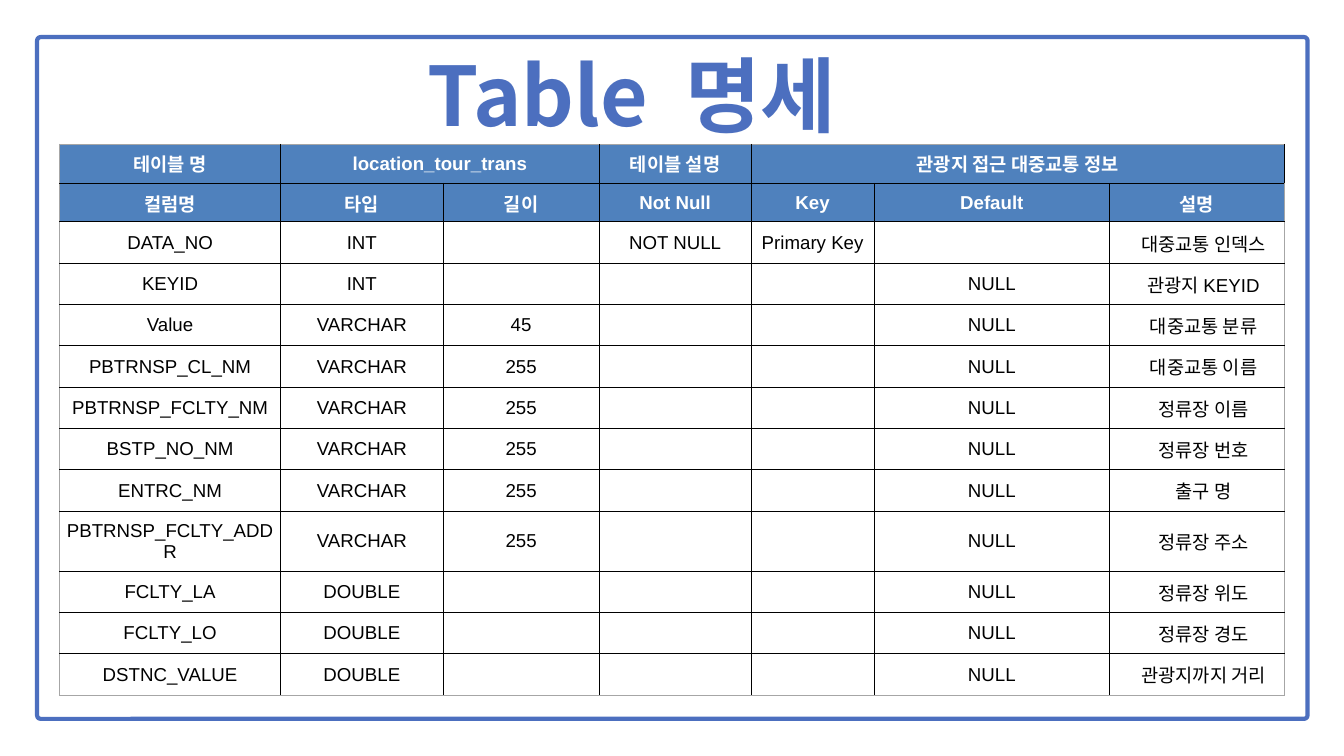
from dataclasses import astuple, dataclass

from lxml import etree
from pptx import Presentation
from pptx import util as u
from pptx.dml.color import RGBColor
from pptx.enum import shapes, text
from pptx.oxml.ns import qn

PX = 9525  # EMU, at 96 px to the inch

WHITE = RGBColor(0xFF, 0xFF, 0xFF)
BLACK = RGBColor(0x00, 0x00, 0x00)
ROYAL = RGBColor(0x4C, 0x6F, 0xBF)
HEADER = RGBColor(0x4F, 0x81, 0xBD)
EDGE = RGBColor(0xA6, 0xA6, 0xA6)

LATIN = "Arial"
KOREAN = "Noto Sans CJK KR"

WIDTHS = (316, 232, 223, 217, 176, 336, 250)
BODY_HEIGHT, WRAPPED_HEIGHT = 59, 86
HEADER_HEIGHTS = (56, 55)


@dataclass(frozen=True)
class Heading:
    label: str
    column: int
    span: int = 1


@dataclass(frozen=True)
class Field:
    name: str
    kind: str
    length: str
    description: str
    not_null: str = ""
    key: str = ""
    default: str = "NULL"

    def cells(self) -> tuple[str, ...]:
        return (self.name, self.kind, self.length, self.not_null,
                self.key, self.default, self.description)


HEADINGS = (
    Heading("테이블 명", 0),
    Heading("location_tour_trans", 1, 2),
    Heading("테이블 설명", 3),
    Heading("관광지 접근 대중교통 정보", 4, 3),
)
COLUMN_NAMES = ("컬럼명", "타입", "길이", "Not Null", "Key", "Default", "설명")
FIELDS = (
    Field("DATA_NO", "INT", "", "대중교통 인덱스", "NOT NULL", "Primary Key", ""),
    Field("KEYID", "INT", "", "관광지 KEYID"),
    Field("Value", "VARCHAR", "45", "대중교통 분류"),
    Field("PBTRNSP_CL_NM", "VARCHAR", "255", "대중교통 이름"),
    Field("PBTRNSP_FCLTY_NM", "VARCHAR", "255", "정류장 이름"),
    Field("BSTP_NO_NM", "VARCHAR", "255", "정류장 번호"),
    Field("ENTRC_NM", "VARCHAR", "255", "출구 명"),
    Field("PBTRNSP_FCLTY_ADDR", "VARCHAR", "255", "정류장 주소"),
    Field("FCLTY_LA", "DOUBLE", "", "정류장 위도"),
    Field("FCLTY_LO", "DOUBLE", "", "정류장 경도"),
    Field("DSTNC_VALUE", "DOUBLE", "", "관광지까지 거리"),
)


def px(length: int) -> u.Emu:
    return u.Emu(length * PX)


def add_run(paragraph, words: str, size: int, color: RGBColor, bold: bool, latin: str = LATIN):
    """Add a run with separate Latin and Korean fonts."""
    run = paragraph.add_run()
    run.text = words
    run.font.size = u.Pt(size)
    run.font.bold = bold
    run.font.color.rgb = color
    run.font.name = latin
    properties = run.font._element
    korean = etree.Element(qn("a:ea"), typeface=KOREAN)
    properties.find(qn("a:latin")).addnext(korean)
    return run


def add_frame(slide) -> None:
    frame = slide.shapes.add_shape(
        shapes.MSO_SHAPE.ROUNDED_RECTANGLE, px(53), px(53), px(1815), px(974))
    frame.adjustments[0] = 5 / 974
    frame.shadow.inherit = False
    frame.fill.solid()
    frame.fill.fore_color.rgb = WHITE
    frame.line.color.rgb = ROYAL
    frame.line.width = u.Pt(4.5)


def set_title(slide) -> None:
    title = slide.shapes.title
    title.left, title.top, title.width, title.height = px(0), px(38), px(1806), px(168)
    box = title.text_frame
    box.margin_left = box.margin_top = box.margin_right = box.margin_bottom = 0
    box.vertical_anchor = text.MSO_ANCHOR.TOP
    box.auto_size = text.MSO_AUTO_SIZE.SHAPE_TO_FIT_TEXT
    box.word_wrap = True
    heading = box.paragraphs[0]
    heading.alignment = text.PP_ALIGN.CENTER
    heading.line_spacing = 1.18
    heading.space_before = u.Pt(0)
    add_run(heading, "Table", 88, ROYAL, True, KOREAN)
    gap = add_run(heading, " ", 88, ROYAL, True, KOREAN)
    gap.font._element.set("spc", "2000")
    add_run(heading, "명세", 88, ROYAL, True, KOREAN)
    # The title goes in front of the frame.
    title.element.getparent().append(title.element)


def set_borders(cell, outer: dict[str, bool]) -> None:
    """Draw the four sides; sides on the table's edge are grey."""
    properties = cell._tc.get_or_add_tcPr()
    for place, (side, on_edge) in enumerate(outer.items()):
        line = etree.Element(qn(f"a:{side}"), w=str(u.Pt(1)))
        fill = etree.SubElement(line, qn("a:solidFill"))
        etree.SubElement(fill, qn("a:srgbClr"), val=str(EDGE if on_edge else BLACK))
        properties.insert(place, line)


def write_cell(cell, words: str, is_header: bool, indent: int = 0) -> None:
    cell.vertical_anchor = text.MSO_ANCHOR.MIDDLE
    paragraph = cell.text_frame.paragraphs[0]
    paragraph.alignment = text.PP_ALIGN.CENTER
    if indent:
        paragraph._p.get_or_add_pPr().set("marL", str(px(indent)))
    add_run(paragraph, words, 20, WHITE if is_header else BLACK, is_header)


def tighten(cell) -> None:
    cell.margin_left = cell.margin_top = cell.margin_right = px(1)
    cell.margin_bottom = 0


def add_specification(slide) -> None:
    heights = HEADER_HEIGHTS + tuple(
        WRAPPED_HEIGHT if field.name == "PBTRNSP_FCLTY_ADDR" else BODY_HEIGHT
        for field in FIELDS)
    last_row, last_column = len(heights) - 1, len(WIDTHS) - 1
    table = slide.shapes.add_table(
        len(heights), len(WIDTHS), px(85), px(206), px(sum(WIDTHS)), px(sum(heights))).table
    for column, width in zip(table.columns, WIDTHS):
        column.width = px(width)
    for row, height in zip(table.rows, heights):
        row.height = px(height)

    for r in range(len(heights)):
        for c in range(len(WIDTHS)):
            cell = table.cell(r, c)
            if r < len(HEADER_HEIGHTS):
                cell.fill.solid()
                cell.fill.fore_color.rgb = HEADER
            else:
                cell.fill.background()
            set_borders(cell, {"lnL": c == 0, "lnR": c == last_column,
                               "lnT": r == 0, "lnB": r == last_row})

    for heading in HEADINGS:
        cell = table.cell(0, heading.column)
        if heading.span > 1:
            cell.merge(table.cell(0, heading.column + heading.span - 1))
        write_cell(cell, heading.label, True)

    for r, words in enumerate((COLUMN_NAMES, *(field.cells() for field in FIELDS)), start=1):
        for c, word in enumerate(words):
            if word:
                is_header = r == 1
                indent = 19 if c == last_column and not is_header else 0
                tighten(table.cell(r, c))
                write_cell(table.cell(r, c), word, is_header, indent)


def main() -> None:
    deck = Presentation()
    deck.slide_width, deck.slide_height = px(1920), px(1080)
    slide = deck.slides.add_slide(deck.slide_layouts[5])
    add_frame(slide)
    set_title(slide)
    add_specification(slide)
    deck.save("out.pptx")


if __name__ == "__main__":
    main()
